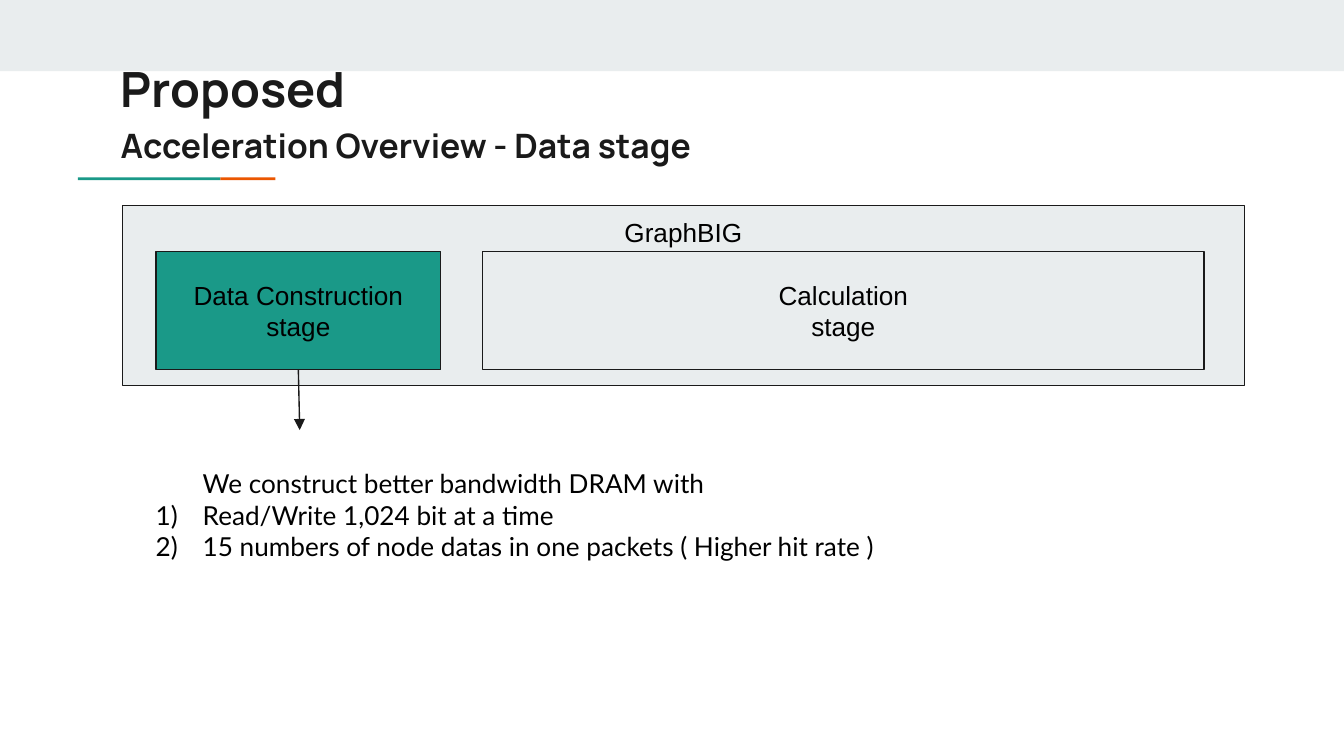
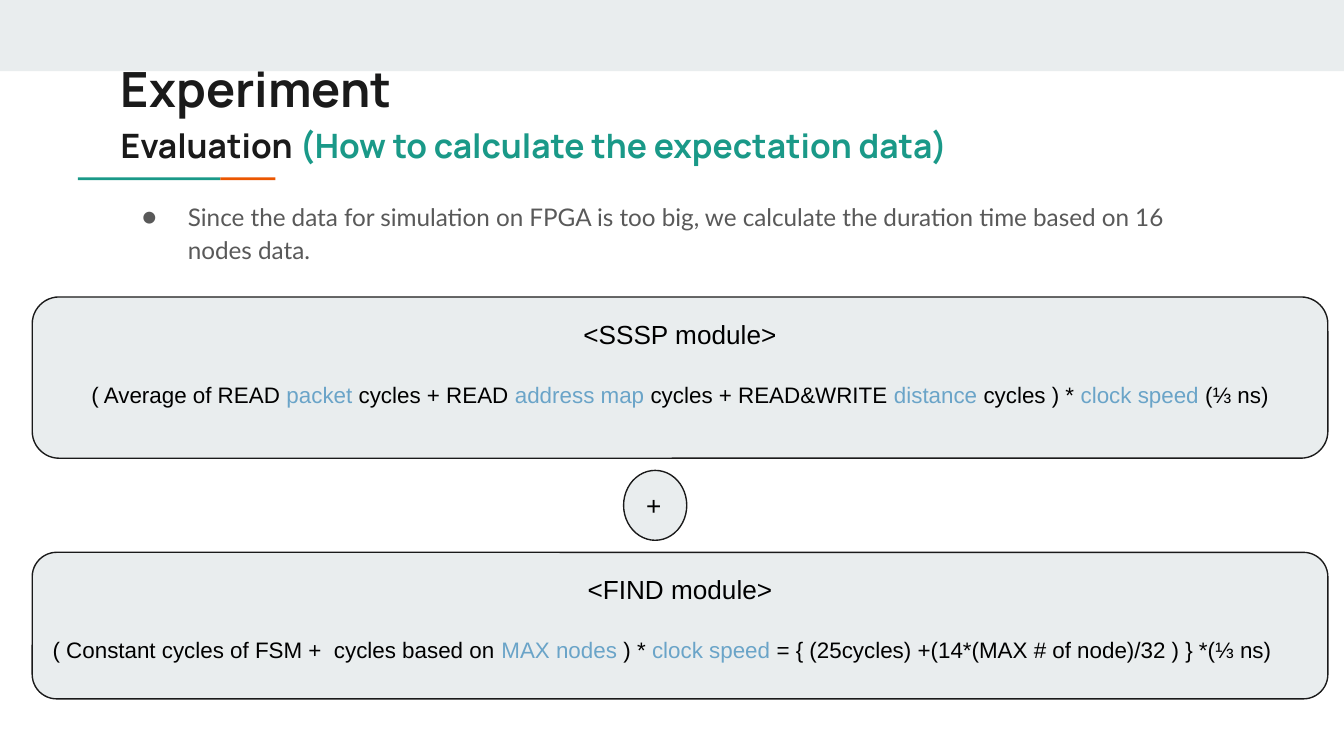
"""Build two slides on the acceleration overview and the expected-time evaluation."""
from lxml.etree import SubElement
from pptx import Presentation
from pptx.dml.color import RGBColor
from pptx.enum.shapes import MSO_CONNECTOR as Connector, MSO_SHAPE as Shape
from pptx.enum.text import MSO_ANCHOR as Anchor, MSO_AUTO_SIZE as AutoSize, PP_ALIGN as Align
from pptx.oxml.ns import qn
from pptx.util import Inches, Pt

SLIDE_WIDTH = 10
SLIDE_HEIGHT = SLIDE_WIDTH * 9 / 16
COLORS = {
    "panel": "E9EDEE", "teal": "1A9988", "orange": "EB5600", "ink": "1A1A1A",
    "black": "000000", "gray": "595959", "blue": "6AA4C8",
}
FORMULA_GAP = 17

OVERVIEW = {
    "title": "Proposed",
    "subtitle": [("Acceleration Overview - Data stage", "ink")],
    "frame": ("GraphBIG", (0.91, 1.53, 8.35, 1.34)),
    "stages": [
        (["Data Construction", "stage"], "teal", 1.16, 2.12),
        (["Calculation", "stage"], "panel", 3.59, 5.37),
    ],
    "lead": "We construct better bandwidth DRAM with",
    "steps": [
        "Read/Write 1,024 bit at a time",
        "15 numbers of node datas in one packets ( Higher hit rate )",
    ],
}
EVALUATION = {
    "title": "Experiment",
    "subtitle": [("Evaluation ", "ink"), ("(How to calculate the expectation data)", "teal")],
    "bullet": "Since the data for simulation on FPGA is too big, "
              "we calculate the duration time based on 16 nodes data.",
    "modules": [
        ("<SSSP module>", 2.21, 1.2, Align.CENTER, [
            ("( Average of READ ", "black"), ("packet", "blue"),
            (" cycles + READ ", "black"), ("address map", "blue"),
            (" cycles + READ&WRITE ", "black"), ("distance", "blue"),
            (" cycles ) * ", "black"), ("clock speed", "blue"), (" (⅓ ns)", "black")]),
        ("<FIND module>", 4.11, 1.09, Align.LEFT, [
            ("( Constant cycles of FSM +  cycles based on ", "black"), ("MAX nodes", "blue"),
            (" ) * ", "black"), ("clock speed", "blue"),
            (" = { (25cycles) +(14*(MAX # of node)/32 ) } *(⅓ ns)", "black")]),
    ],
}


def color(name):
    return RGBColor.from_string(COLORS[name])


def inches(box):
    return [Inches(value) for value in box]


def prepare_frame(frame, anchor=Anchor.TOP):
    frame.word_wrap = True
    frame.auto_size = AutoSize.NONE
    frame.vertical_anchor = anchor
    frame.margin_left = frame.margin_right = Inches(0.1)
    frame.margin_top = frame.margin_bottom = Inches(0.1)
    return frame


def style(paragraph, size, font="Arial", ink="black", align=Align.LEFT, bold=False):
    paragraph.alignment = align
    paragraph.font.name = font
    paragraph.font.size = Pt(size)
    paragraph.font.bold = bold
    paragraph.font.color.rgb = color(ink)


def add_runs(paragraph, parts):
    for text, ink in parts:
        run = paragraph.add_run()
        run.text = text
        run.font.color.rgb = color(ink)


def set_list(paragraph, hanging=0, ink="black", marker=None, **attributes):
    properties = paragraph._p.get_or_add_pPr()
    properties.set("marL", str(Inches(0.5)))
    properties.set("indent", str(-Inches(hanging)))
    if marker:
        fill = SubElement(SubElement(properties, qn("a:buClr")), qn("a:srgbClr"))
        fill.set("val", COLORS[ink])
        SubElement(properties, qn("a:buFont"), typeface="Lato")
        SubElement(properties, qn(marker), attributes)


def add_box(slide, kind, box, fill, outlined=True):
    shape = slide.shapes.add_shape(kind, *inches(box))
    shape.shadow.inherit = False
    shape.fill.solid()
    shape.fill.fore_color.rgb = color(fill)
    if outlined:
        shape.line.color.rgb = color("ink")
        shape.line.width = Pt(0.75)
    else:
        shape.line.fill.background()
    return shape


def add_text_box(slide, box):
    return prepare_frame(slide.shapes.add_textbox(*inches(box)).text_frame)


def add_arrow(slide, start, end):
    arrow = slide.shapes.add_connector(Connector.STRAIGHT, *inches(start + end))
    arrow.line.color.rgb = color("ink")
    arrow.line.width = Pt(0.75)
    SubElement(arrow.line._get_or_add_ln(), qn("a:tailEnd"), type="triangle")
    SubElement(arrow._element.spPr, qn("a:effectLst"))


def add_base_slide(presentation, content):
    slide = presentation.slides.add_slide(presentation.slide_layouts[5])
    add_box(slide, Shape.RECTANGLE, (0, 0, SLIDE_WIDTH, 0.53), "panel", outlined=False)
    for left, width, fill in ((0.58, 1.06, "teal"), (1.64, 0.41, "orange")):
        add_box(slide, Shape.RECTANGLE, (left, 1.32, width, 0.02), fill, outlined=False)

    title = slide.shapes.title
    title.left, title.top, title.width, title.height = inches((0.8, 0.34, 8.41, 0.62))
    title.text = content["title"]
    style(prepare_frame(title.text_frame).paragraphs[0], 26, "Manrope", "ink", bold=True)

    subtitle = add_text_box(slide, (0.8, 0.83, 8.41, 0.7)).paragraphs[0]
    add_runs(subtitle, content["subtitle"])
    style(subtitle, 18, "Manrope", "ink", bold=True)
    return slide


def build_overview(presentation):
    slide = add_base_slide(presentation, OVERVIEW)
    name, box = OVERVIEW["frame"]
    frame = prepare_frame(add_box(slide, Shape.RECTANGLE, box, "panel").text_frame)
    frame.margin_top = Inches(0.08)
    frame.text = name
    style(frame.paragraphs[0], 14, align=Align.CENTER)

    for lines, fill, left, width in OVERVIEW["stages"]:
        stage = add_box(slide, Shape.RECTANGLE, (left, 1.87, width, 0.88), fill)
        frame = prepare_frame(stage.text_frame, Anchor.MIDDLE)
        frame.text = "\n".join(lines)
        for paragraph in frame.paragraphs:
            style(paragraph, 14, align=Align.CENTER)
    add_arrow(slide, (2.22, 2.75), (2.23, 3.2))

    notes = add_text_box(slide, (0.91, 3.38, 8.35, 1.29))
    notes.text = "\n".join([OVERVIEW["lead"], *OVERVIEW["steps"]])
    lead, *steps = notes.paragraphs
    set_list(lead)
    for step in steps:
        set_list(step, 0.35, marker="a:buAutoNum", type="arabicParenR")
    for paragraph in notes.paragraphs:
        style(paragraph, 14, "Lato")


def build_evaluation(presentation):
    slide = add_base_slide(presentation, EVALUATION)
    body = add_text_box(slide, (0.8, 1.37, 8.41, 2.45))
    body.text = EVALUATION["bullet"]
    bullet = body.paragraphs[0]
    set_list(bullet, 0.34, "gray", marker="a:buChar", char="●")
    bullet.line_spacing = 1.15
    style(bullet, 13, "Lato", "gray")

    for name, top, height, align, formula in EVALUATION["modules"]:
        module = add_box(slide, Shape.ROUNDED_RECTANGLE, (0.24, top, 9.64, height), "panel")
        frame = prepare_frame(module.text_frame)
        frame.text = name
        style(frame.paragraphs[0], 14, align=Align.CENTER)
        paragraph = frame.add_paragraph()
        add_runs(paragraph, formula)
        paragraph.space_before = Pt(FORMULA_GAP)
        style(paragraph, 12, align=align)

    plus = add_box(slide, Shape.OVAL, (4.64, 3.5, 0.47, 0.52), "panel")
    frame = prepare_frame(plus.text_frame, Anchor.MIDDLE)
    frame.text = "+"
    style(frame.paragraphs[0], 14)


def main():
    presentation = Presentation()
    presentation.slide_width = Inches(SLIDE_WIDTH)
    presentation.slide_height = Inches(SLIDE_HEIGHT)
    build_overview(presentation)
    build_evaluation(presentation)
    presentation.save("out.pptx")


if __name__ == "__main__":
    main()
